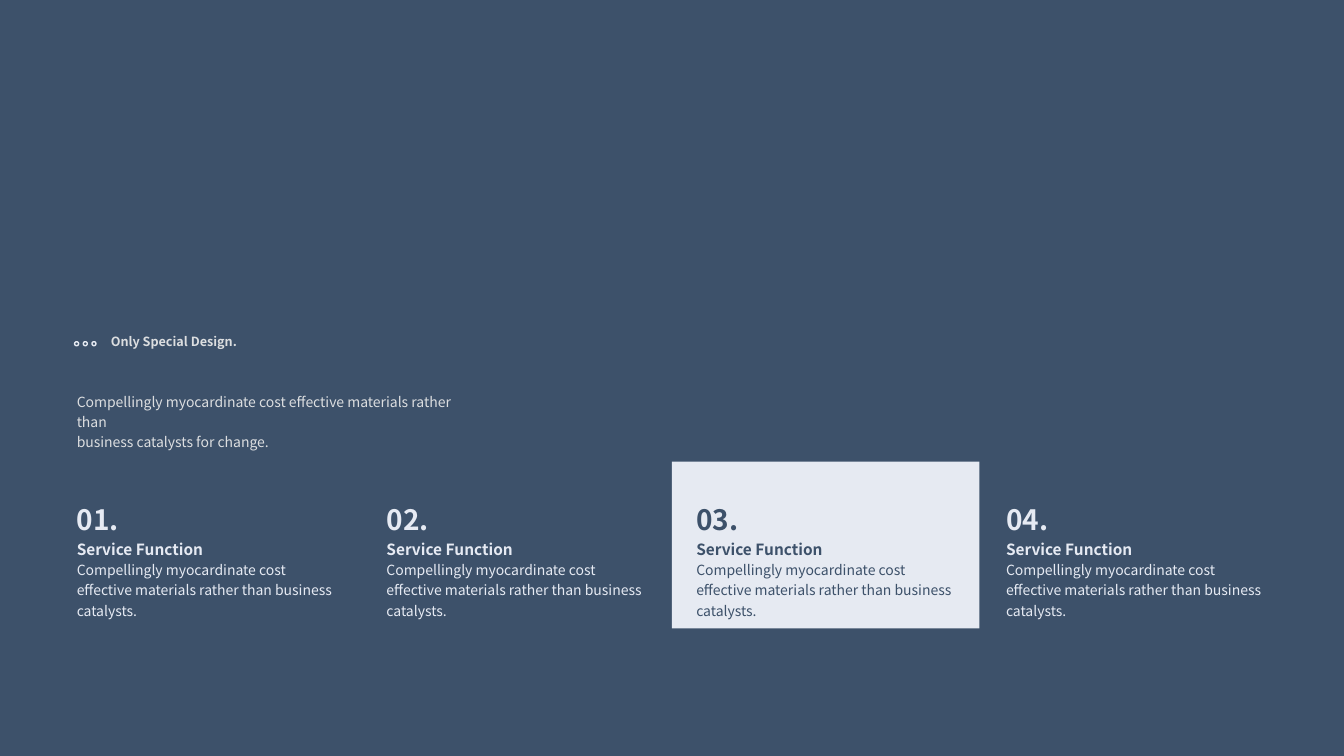
from dataclasses import dataclass

import pptx
import pptx.dml.color
import pptx.enum.shapes
import pptx.enum.text
import pptx.util

Pt = pptx.util.Pt
COLORS = {"navy": "3D516A", "panel": "E6EAF2", "light": "E6EAF3", "grey": "DCDEE0"}
FONT = "Noto Sans CJK SC"
INSET = 2.16
SERVICE_LEFT, SERVICE_PITCH = 52.7, 221.25
DOT_LEFT, DOT_PITCH, DOT_SIZE = 53.3, 6.2, 2.9


@dataclass
class Service:
    number: str
    color: str = "light"


def rgb(name: str) -> pptx.dml.color.RGBColor:
    return pptx.dml.color.RGBColor.from_string(COLORS[name])


def place(shape, left: float, top: float, width: float, height: float) -> None:
    shape.left, shape.top = Pt(left), Pt(top)
    shape.width, shape.height = Pt(width), Pt(height)


def prepare_frame(frame, wrap: bool = True, middle: bool = False) -> None:
    anchors = pptx.enum.text.MSO_ANCHOR
    frame.margin_left = frame.margin_right = Pt(INSET)
    frame.margin_top = frame.margin_bottom = Pt(INSET)
    frame.word_wrap = wrap
    frame.auto_size = pptx.enum.text.MSO_AUTO_SIZE.SHAPE_TO_FIT_TEXT
    frame.vertical_anchor = anchors.MIDDLE if middle else anchors.TOP


def write(frame, text: str, *, size: float, color: str, bold: bool = False,
          spacing: float = 1.2) -> None:
    """Fill the frame's empty first paragraph, or add another one."""
    paragraph = frame.paragraphs[0] if not frame.text else frame.add_paragraph()
    paragraph.alignment = pptx.enum.text.PP_ALIGN.LEFT
    paragraph.line_spacing = spacing
    run = paragraph.add_run()
    run.text = text
    run.font.name, run.font.size, run.font.bold = FONT, Pt(size), bold
    run.font.color.rgb = rgb(color)


def add_text_frame(slide, left: float, top: float, width: float, height: float):
    box = slide.shapes.add_textbox(Pt(left), Pt(top), Pt(width), Pt(height))
    prepare_frame(box.text_frame)
    return box.text_frame


def add_service(slide, service: Service, left: float) -> None:
    frame = add_text_frame(slide, left, 352.1, 189.4, 74.9)
    write(frame, service.number, size=20, color=service.color, bold=True)
    write(frame, "Service Function", size=11, color=service.color, bold=True)
    write(frame, "Compellingly myocardinate cost effective materials "
          "rather than business catalysts.", size=10, color=service.color)


def add_dot(slide, left: float) -> None:
    dot = slide.shapes.add_shape(pptx.enum.shapes.MSO_SHAPE.OVAL, Pt(left),
                                 Pt(244.1), Pt(DOT_SIZE), Pt(DOT_SIZE))
    dot.shadow.inherit = False
    dot.fill.background()
    dot.line.color.rgb = rgb("panel")
    dot.line.width = Pt(1)


deck = pptx.Presentation()
deck.slide_width, deck.slide_height = Pt(960), Pt(540)
slide = deck.slides.add_slide(deck.slide_layouts[5])
slide.background.fill.solid()
slide.background.fill.fore_color.rgb = rgb("navy")

# Heading with its three rings
heading = slide.shapes.title
place(heading, 77, 236.2, 94.3, 15.1)
prepare_frame(heading.text_frame, wrap=False, middle=True)
write(heading.text_frame, "Only Special Design.", size=9, color="grey",
      bold=True, spacing=1.0)
for index in range(3):
    add_dot(slide, DOT_LEFT + index * DOT_PITCH)

# Introduction
introduction = add_text_frame(slide, SERVICE_LEFT, 276.5, 283, 30.2)
for line in ("Compellingly myocardinate cost effective materials rather than",
             "business catalysts for change."):
    write(introduction, line, size=10, color="grey")

# Panel behind the highlighted service
highlight = slide.shapes.add_shape(pptx.enum.shapes.MSO_SHAPE.RECTANGLE,
                                   Pt(480), Pt(329.8), Pt(219.6), Pt(119))
highlight.shadow.inherit = False
highlight.fill.solid()
highlight.fill.fore_color.rgb = rgb("panel")
highlight.line.fill.background()

# Services
services = [Service("01."), Service("02."), Service("03.", "navy"), Service("04.")]
for index, service in enumerate(services):
    add_service(slide, service, SERVICE_LEFT + index * SERVICE_PITCH)

deck.save("out.pptx")
